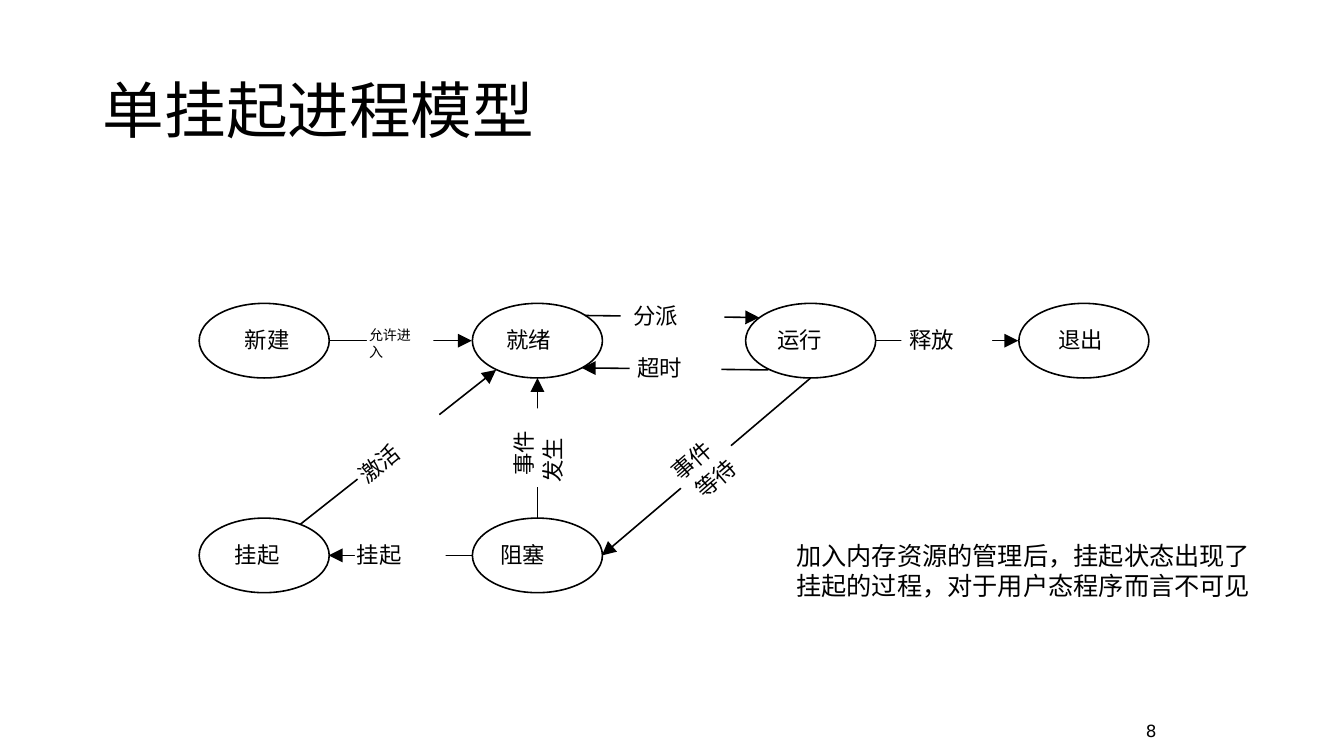
from lxml import etree
from pptx import Presentation
from pptx.dml.color import RGBColor
from pptx.enum import shapes, text
from pptx.oxml import ns
from pptx.util import Inches, Pt

BLACK = RGBColor(0, 0, 0)
WHITE = RGBColor(255, 255, 255)
CJK = "Noto Sans CJK SC"
LINE = Pt(1.13)

# Content
TITLE = "单挂起进程模型"
NOTE = ["加入内存资源的管理后，挂起状态出现了", "挂起的过程，对于用户态程序而言不可见"]
PAGE = "8"

# State grid: first centre, column and row step, oval size
X0, Y0, DX, DY = 2.62, 3.38, 2.71, 2.13
OVAL_W, OVAL_H = 1.29, 0.74
LABEL_W, LABEL_H = 0.45, 0.27

# name, column, row, left of the text
STATES = [
    ("新建", 0, 0, 2.43),
    ("就绪", 1, 0, 5.02),
    ("运行", 2, 0, 7.71),
    ("退出", 3, 0, 10.5),
    ("挂起", 0, 1, 2.33),
    ("阻塞", 1, 1, 4.96),
]

# start, end, gap in the line (centre x, centre y, width, height),
# angle, text size, labels (text, left, top)
TRANSITIONS = [
    ((3.26, 3.38), (4.68, 3.38), (3.97, 3.38, 0.66, 0.32), 0, 10,
     [("允许进入", 3.66, 3.24)]),
    ((5.8, 3.13), (7.53, 3.15), (6.67, 3.13, 1.03, 0.32), 0, 16,
     [("分派", 6.28, 3)]),
    ((7.62, 3.67), (5.77, 3.65), (6.7, 3.66, 0.91, 0.32), 0, 16,
     [("超时", 6.32, 3.51)]),
    ((8.04, 3.75), (5.97, 5.51), (7, 4.63, 0.65, 0.62), 319, 16,
     [("事件", 6.64, 4.43), ("等待", 6.88, 4.61)]),
    ((5.33, 5.14), (5.33, 3.75), (5.32, 4.44, 0.78, 0.61), 270, 16,
     [("事件", 4.97, 4.36), ("发生", 5.26, 4.43)]),
    ((8.68, 3.38), (10.1, 3.38), (9.39, 3.38, 0.9, 0.32), 0, 16,
     [("释放", 9.02, 3.24)]),
    ((4.68, 5.51), (3.26, 5.51), (3.97, 5.5, 0.9, 0.32), 0, 16,
     [("挂起", 3.54, 5.37)]),
    ((2.98, 5.2), (4.92, 3.67), (3.95, 4.43, 1.03, 0.32), 321, 16,
     [("激活", 3.54, 4.46)]),
]

prs = Presentation()
prs.slide_width, prs.slide_height = Inches(13.33), Inches(7.5)
s = prs.slides.add_slide(prs.slide_layouts[5])


def write(sp, lines, size, font=CJK, align=text.PP_ALIGN.LEFT, spacing=None,
          anchor=text.MSO_ANCHOR.TOP, wrap=True, inset=None):
    tf = sp.text_frame
    tf.word_wrap, tf.vertical_anchor = wrap, anchor
    if inset is not None:
        tf.margin_left = tf.margin_right = Inches(inset)
        tf.margin_top = tf.margin_bottom = Inches(inset)
    for i, line in enumerate(lines):
        p = tf.paragraphs[0] if i == 0 else tf.add_paragraph()
        p.alignment, p.line_spacing = align, spacing
        r = p.add_run()
        r.text = line
        r.font.size, r.font.name, r.font.color.rgb = Pt(size), font, BLACK
        etree.SubElement(r.font._element, ns.qn("a:ea"), typeface=CJK)


def box(left, top, width, height):
    return s.shapes.add_textbox(Inches(left), Inches(top), Inches(width), Inches(height))


def label(caption, left, top, size=16, angle=0):
    sp = box(left, top, LABEL_W, LABEL_H)
    sp.rotation = angle
    write(sp, [caption], size, wrap=False, inset=0)


def white_shape(kind, cx, cy, width, height, angle=0, outlined=False):
    sp = s.shapes.add_shape(kind, Inches(cx - width / 2), Inches(cy - height / 2),
                            Inches(width), Inches(height))
    sp.rotation = angle
    sp.shadow.inherit = False
    sp.fill.solid()
    sp.fill.fore_color.rgb = WHITE
    if outlined:
        sp.line.color.rgb, sp.line.width = BLACK, LINE
    else:
        sp.line.fill.background()


def arrow(start, end):
    c = s.shapes.add_connector(shapes.MSO_CONNECTOR.STRAIGHT,
                               *(Inches(v) for v in start + end))
    c.line.color.rgb, c.line.width = BLACK, LINE
    etree.SubElement(c.line._get_or_add_ln(), ns.qn("a:tailEnd"),
                     type="triangle", w="lg", len="lg")
    etree.SubElement(c._element.spPr, ns.qn("a:effectLst"))


# Title
title = s.shapes.title
title.left, title.top = Inches(0.92), Inches(0.4)
title.width, title.height = Inches(11.5), Inches(1.45)
write(title, [TITLE], 44, font="Calibri", spacing=0.9, anchor=text.MSO_ANCHOR.MIDDLE)

# States
for name, col, row, left in STATES:
    cy = Y0 + row * DY
    white_shape(shapes.MSO_SHAPE.OVAL, X0 + col * DX, cy, OVAL_W, OVAL_H, outlined=True)
    label(name, left, cy - 0.14)

# Transitions: arrow, gap, then its labels
for start, end, gap, angle, size, labels in TRANSITIONS:
    arrow(start, end)
    white_shape(shapes.MSO_SHAPE.RECTANGLE, *gap, angle=angle)
    for caption, left, top in labels:
        label(caption, left, top, size, angle)

# Note and page number
write(box(7.8, 5.31, 5.06, 0.71), NOTE, 18, font="Calibri")
write(box(11.03, 7.1, 0.54, 0.4), [PAGE], 12, font="DejaVu Sans", align=text.PP_ALIGN.RIGHT)

prs.save("out.pptx")
